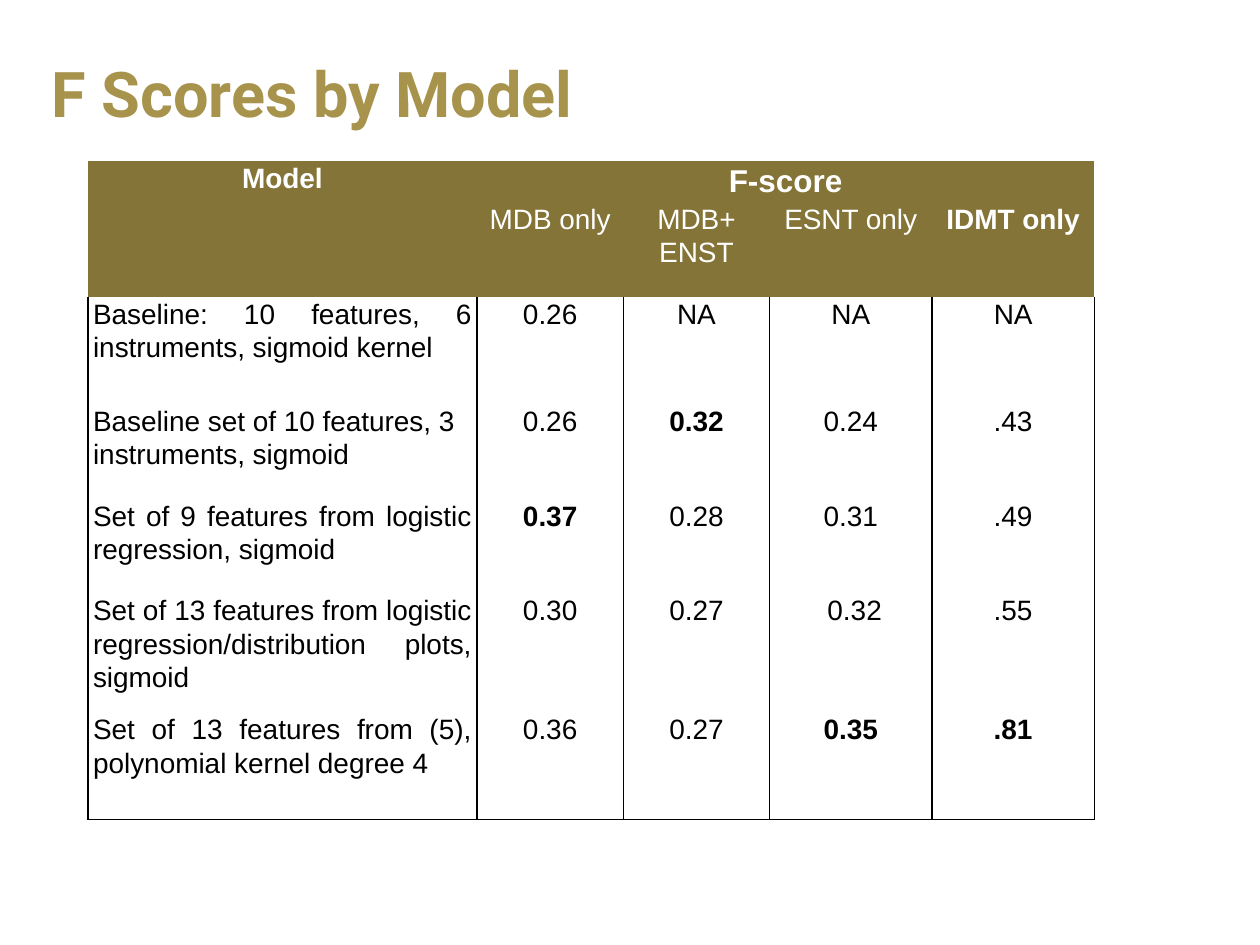
from dataclasses import dataclass

from lxml.etree import SubElement
from pptx import Presentation
from pptx.dml.color import RGBColor
from pptx.enum.text import MSO_ANCHOR, PP_ALIGN
from pptx.oxml.ns import qn
from pptx.util import Pt


@dataclass(frozen=True)
class Theme:
    title_font: str = "Roboto"
    table_font: str = "Arial"
    title_color: str = "A7934B"
    header_fill: str = "857437"
    header_text: str = "FFFFFF"
    body_text: str = "000000"
    border: str = "000000"
    title_size: float = 36
    group_size: float = 18
    table_size: float = 16
    line_spacing: float = 1.07


@dataclass(frozen=True)
class CellText:
    text: str
    bold: bool = False
    align: PP_ALIGN = PP_ALIGN.CENTER
    size: float = Theme.table_size


@dataclass(frozen=True)
class ModelRow:
    model: str
    scores: tuple[str, ...]
    best: tuple[int, ...] = ()
    align: PP_ALIGN = PP_ALIGN.JUSTIFY


THEME = Theme()
COLUMN_WIDTHS = (222.4, 83.6, 83.6, 92.8, 92.8)
ROW_HEIGHTS = (23, 54.3, 61.2, 54.2, 54.2, 68, 61.2)
DATA_SETS = (
    CellText("MDB only"),
    CellText("MDB+\nENST"),
    CellText("ESNT only"),
    CellText("IDMT only", bold=True),
)
MODELS = (
    ModelRow("Baseline: 10 features, 6 instruments, sigmoid kernel",
             ("0.26", "NA", "NA", "NA")),
    ModelRow("Baseline set of 10 features, 3 instruments, sigmoid",
             ("0.26", "0.32", "0.24", ".43"), (1,), PP_ALIGN.LEFT),
    ModelRow("Set of 9 features from logistic regression, sigmoid",
             ("0.37", "0.28", "0.31", ".49"), (0,)),
    ModelRow("Set of 13 features from logistic regression/distribution plots, sigmoid",
             ("0.30", "0.27", " 0.32", ".55")),
    ModelRow("Set of 13 features from (5), polynomial kernel degree 4",
             ("0.36", "0.27", "0.35", ".81"), (2, 3)),
)


def set_borders(cell, black_sides: str) -> None:
    """Draw the named sides (of L, R, T, B) and clear the others."""
    properties = cell._tc.get_or_add_tcPr()
    for position, side in enumerate("LRTB"):
        line = SubElement(properties, qn(f"a:ln{side}"), w=str(Pt(1)))
        if side in black_sides:
            fill = SubElement(line, qn("a:solidFill"))
            SubElement(fill, qn("a:srgbClr"), val=THEME.border)
        else:
            SubElement(line, qn("a:noFill"))
        properties.insert(position, line)


def style_cell(cell, header: bool) -> None:
    cell.margin_left = cell.margin_right = Pt(3)
    cell.margin_top = cell.margin_bottom = Pt(0)
    cell.vertical_anchor = MSO_ANCHOR.TOP
    if header:
        cell.fill.solid()
        cell.fill.fore_color.rgb = RGBColor.from_string(THEME.header_fill)
    else:
        cell.fill.background()
    set_borders(cell, "" if header else "LRB")


def write_cell(cell, content: CellText, color: str) -> None:
    cell.text_frame.text = content.text
    for paragraph in cell.text_frame.paragraphs:
        paragraph.alignment = content.align
        paragraph.line_spacing = THEME.line_spacing
        paragraph.font.name = THEME.table_font
        paragraph.font.size = Pt(content.size)
        paragraph.font.bold = content.bold
        paragraph.font.color.rgb = RGBColor.from_string(color)


def add_title(slide, text: str) -> None:
    shape = slide.shapes.add_textbox(Pt(22.3), Pt(15.8), Pt(675.4), Pt(80))
    frame = shape.text_frame
    frame.word_wrap = True
    frame.vertical_anchor = MSO_ANCHOR.MIDDLE
    paragraph = frame.paragraphs[0]
    paragraph.text = text
    paragraph.line_spacing = 0.9
    paragraph.font.name = THEME.title_font
    paragraph.font.size = Pt(THEME.title_size)
    paragraph.font.bold = True
    paragraph.font.color.rgb = RGBColor.from_string(THEME.title_color)


def add_score_table(slide) -> None:
    table = slide.shapes.add_table(
        len(ROW_HEIGHTS), len(COLUMN_WIDTHS), Pt(50.2), Pt(92.2),
        Pt(sum(COLUMN_WIDTHS)), Pt(sum(ROW_HEIGHTS))).table
    table.first_row = table.horz_banding = False
    for column, width in zip(table.columns, COLUMN_WIDTHS):
        column.width = Pt(width)
    for index, (row, height) in enumerate(zip(table.rows, ROW_HEIGHTS)):
        row.height = Pt(height)
        for cell in row.cells:
            style_cell(cell, header=index < 2)

    # Two-level header
    table.cell(0, 0).merge(table.cell(1, 0))
    table.cell(0, 1).merge(table.cell(0, 4))
    write_cell(table.cell(0, 0), CellText("Model", bold=True), THEME.header_text)
    write_cell(table.cell(0, 1),
               CellText("F-score", bold=True, size=THEME.group_size),
               THEME.header_text)
    for column, content in enumerate(DATA_SETS, start=1):
        write_cell(table.cell(1, column), content, THEME.header_text)

    # Models and their scores
    for row, model in enumerate(MODELS, start=2):
        write_cell(table.cell(row, 0), CellText(model.model, align=model.align),
                   THEME.body_text)
        for index, score in enumerate(model.scores):
            write_cell(table.cell(row, index + 1),
                       CellText(score, bold=index in model.best),
                       THEME.body_text)


def main() -> None:
    presentation = Presentation()
    presentation.slide_width, presentation.slide_height = Pt(720), Pt(540)
    slide = presentation.slides.add_slide(presentation.slide_layouts[6])
    add_title(slide, "F Scores by Model")
    add_score_table(slide)
    presentation.save("out.pptx")


if __name__ == "__main__":
    main()
